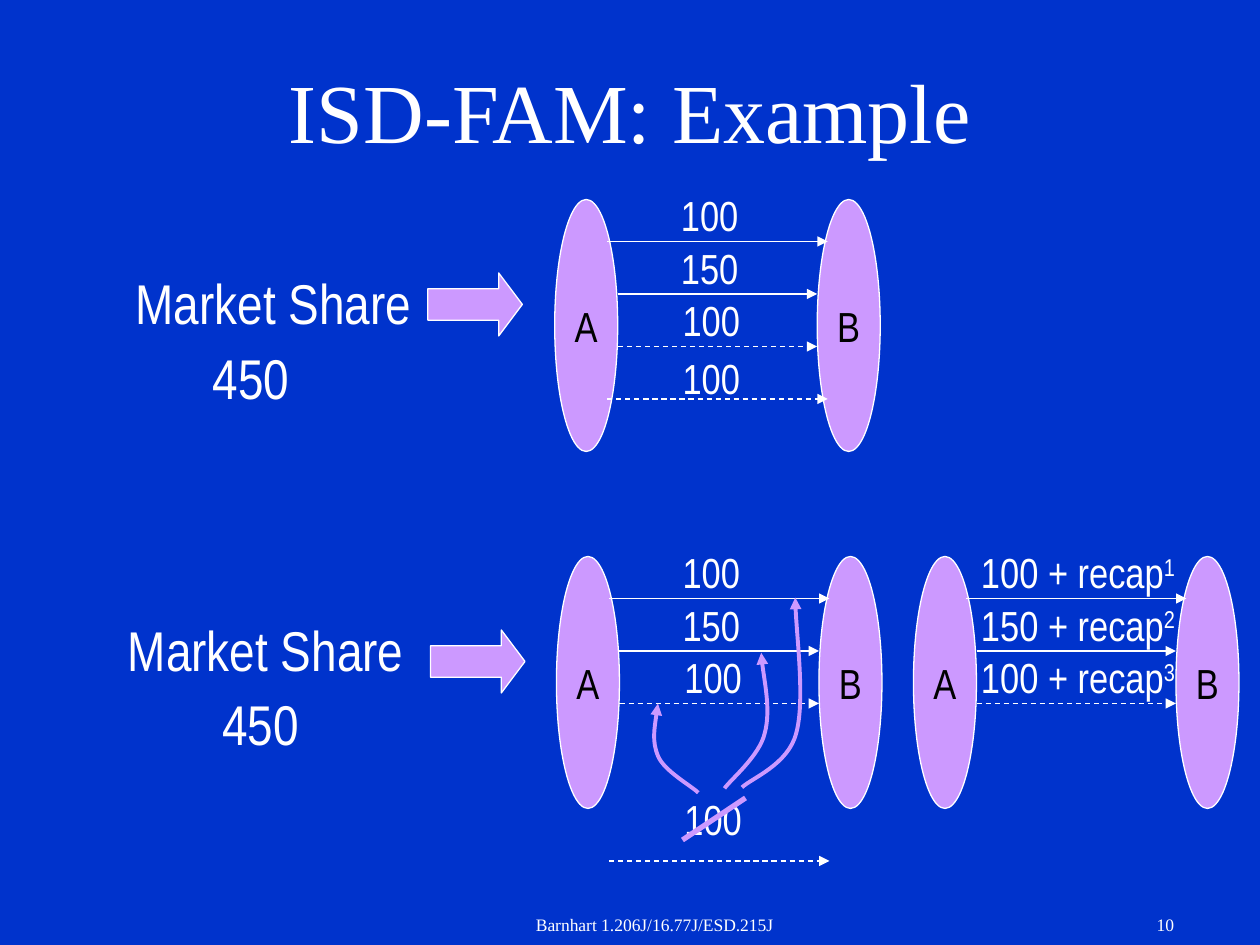
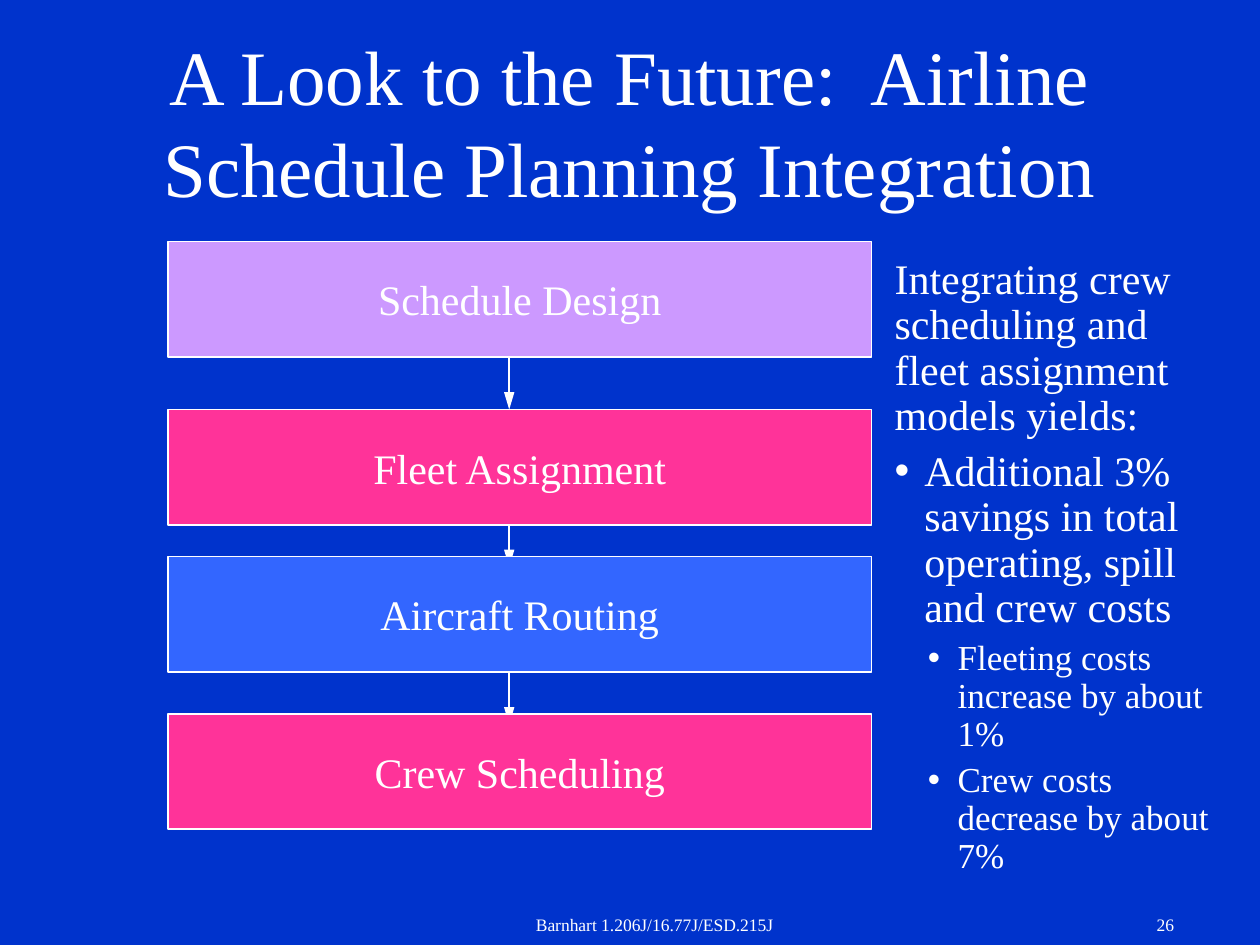
"""Build two airline scheduling slides: an ISD-FAM example and planning integration."""
from dataclasses import dataclass
from typing import Optional

import pptx
import pptx.dml.color
import pptx.enum.dml
import pptx.enum.shapes
import pptx.enum.text
import pptx.oxml.ns
import pptx.util
from lxml import etree

Pt = pptx.util.Pt
qn = pptx.oxml.ns.qn
Shape = pptx.enum.shapes.MSO_SHAPE
Align = pptx.enum.text.PP_ALIGN
Anchor = pptx.enum.text.MSO_ANCHOR
AutoSize = pptx.enum.text.MSO_AUTO_SIZE


@dataclass(frozen=True)
class Theme:
    """Colours, fonts and type sizes of the presentation."""
    background: str = "0033CC"
    white: str = "FFFFFF"
    black: str = "000000"
    lilac: str = "CC99FF"
    pink: str = "FF3399"
    blue: str = "3366FF"
    serif: str = "Times New Roman"
    narrow: str = "Arial Narrow"
    title: int = 48
    long_title: int = 44
    market: int = 32
    label: int = 24
    detail: int = 20
    footer: int = 10


THEME = Theme()


@dataclass(frozen=True)
class Flight:
    """One flight leg, placed relative to the top of its network."""
    passengers: str
    drop: float
    outer: bool = False
    optional: bool = False
    recapture: str = ""
    label_x: float = 66
    label_rise: float = 33


@dataclass(frozen=True)
class Network:
    """Two airports and the flights between them."""
    left: float
    top: float
    flights: tuple[Flight, ...]


@dataclass(frozen=True)
class Stage:
    """One step of the planning process."""
    name: str
    top: float
    colour: str


@dataclass(frozen=True)
class Finding:
    """One paragraph of the findings list."""
    wording: str
    size: int = THEME.label
    before: float = 6
    level: int = 0
    margin: float = 17
    bullet: Optional[str] = "•"


def rgb(colour: str):
    """Turn a hex string into a colour."""
    return pptx.dml.color.RGBColor.from_string(colour)


def write(frame, text: str, *, size: float, font: str = THEME.serif, colour: str = THEME.white,
          align=Align.LEFT, superscript: str = ""):
    """Add one formatted paragraph to a text frame and return it."""
    paragraph = frame.paragraphs[-1]
    if paragraph.runs:
        paragraph = frame.add_paragraph()
    paragraph.alignment = align
    for part in filter(None, (text, superscript)):
        run = paragraph.add_run()
        run.text = part
        run.font.size = Pt(size)
        run.font.name = font
        run.font.color.rgb = rgb(colour)
    if superscript:
        run.font._element.set("baseline", "30000")
    return paragraph


def add_label(slide, left: float, top: float, width: float, height: float, text: str,
              wrap: bool = False, **style) -> None:
    """Place a text box."""
    frame = slide.shapes.add_textbox(Pt(left), Pt(top), Pt(width), Pt(height)).text_frame
    frame.word_wrap = wrap
    frame.auto_size = AutoSize.NONE if wrap else AutoSize.SHAPE_TO_FIT_TEXT
    write(frame, text, **style)


def add_block(slide, kind, left: float, top: float, width: float, height: float,
              fill: str, outline: float = 0.75, text: str = "", **style):
    """Place a filled, outlined shape with optional centred text."""
    block = slide.shapes.add_shape(kind, Pt(left), Pt(top), Pt(width), Pt(height))
    block.shadow.inherit = False
    block.fill.solid()
    block.fill.fore_color.rgb = rgb(fill)
    block.line.color.rgb = rgb(THEME.white)
    block.line.width = Pt(outline)
    if text:
        block.text_frame.word_wrap = False
        block.text_frame.vertical_anchor = Anchor.MIDDLE
        write(block.text_frame, text, size=THEME.label, align=Align.CENTER, **style)
    return block


def style_line(stroke, colour: str, width: float, dashed: bool = False, head: str = "med") -> None:
    """Format a line; an empty head length leaves it without an arrowhead."""
    stroke.line.color.rgb = rgb(colour)
    stroke.line.width = Pt(width)
    if dashed:
        stroke.line.dash_style = pptx.enum.dml.MSO_LINE.DASH
    if head:
        outline = next(stroke._element.iter(qn("a:ln")))
        etree.SubElement(outline, qn("a:tailEnd"), type="triangle", w="med", len=head)


def add_line(slide, start: tuple[float, float], end: tuple[float, float],
             colour: str = THEME.white, width: float = 0.75, **style) -> None:
    """Draw a straight line or arrow."""
    line = slide.shapes.add_connector(pptx.enum.shapes.MSO_CONNECTOR.STRAIGHT,
                                      *map(Pt, start + end))
    style_line(line, colour, width, **style)
    etree.SubElement(line._element.spPr, qn("a:effectLst"))


def add_curve(slide, *points: tuple[float, float]) -> None:
    """Draw an arrow along joined cubic curves."""
    start, *controls = [(Pt(x), Pt(y)) for x, y in points]
    builder = slide.shapes.build_freeform(*start)
    builder.add_line_segments(controls, close=False)
    curve = builder.convert_to_shape()
    curve.shadow.inherit = False
    curve.fill.background()
    style_line(curve, THEME.lilac, 2.25)
    segments = list(curve._element.iter(qn("a:lnTo")))
    for first in range(0, len(segments), 3):
        bezier = etree.Element(qn("a:cubicBezTo"))
        segments[first].addprevious(bezier)
        for segment in segments[first:first + 3]:
            bezier.append(segment[0])
            segment.getparent().remove(segment)


def add_network(slide, network: Network) -> None:
    """Draw the airports, flights and passenger labels of a network."""
    for airport, offset in (("A", 0), ("B", 150)):
        add_block(slide, Shape.OVAL, network.left + offset, network.top, 36, 144, THEME.lilac,
                  text=airport, font=THEME.narrow, colour=THEME.black)
    for flight in network.flights:
        y = network.top + flight.drop
        start, end = (30, 156) if flight.outer else (36, 150)
        add_line(slide, (network.left + start, y), (network.left + end, y),
                 dashed=flight.optional)
        add_label(slide, network.left + flight.label_x, y - flight.label_rise,
                  125 if flight.recapture else 47, 36, flight.passengers,
                  size=THEME.label, font=THEME.narrow, superscript=flight.recapture)


def add_market(slide, left: float, top: float, demand_left: float,
               arrow_left: float, arrow_top: float) -> None:
    """Draw the market share and its arrow towards a network."""
    style = {"size": THEME.market, "font": THEME.narrow}
    add_label(slide, left, top, 172, 46, "Market Share", **style)
    add_label(slide, demand_left, top + 42.5, 58, 46, "450", **style)
    arrow = add_block(slide, Shape.RIGHT_ARROW, arrow_left, arrow_top, 54, 36, THEME.lilac)
    arrow.adjustments[1] = 0.375


def start_slide(deck, layout: int, title: str, size: int, top: float, number: str):
    """Add a slide with its title, footer and number."""
    slide = deck.slides.add_slide(deck.slide_layouts[layout])
    heading = slide.shapes.title
    heading.left, heading.top, heading.width, heading.height = map(Pt, (54, top, 612, 90))
    heading.text_frame.auto_size = AutoSize.NONE
    heading.text_frame.vertical_anchor = Anchor.MIDDLE
    write(heading.text_frame, title, size=size, align=Align.CENTER)
    add_label(slide, 260, 519, 228, 21, "Barnhart 1.206J/16.77J/ESD.215J", wrap=True,
              size=THEME.footer, align=Align.CENTER)
    add_label(slide, 528, 519, 150, 21, number, wrap=True,
              size=THEME.footer, align=Align.RIGHT)
    return slide


def build_example(deck) -> None:
    """Build the slide that shows passengers being recaptured."""
    slide = start_slide(deck, 5, "ISD-FAM: Example", THEME.title, 18, "10")
    kept = (Flight("100", 24, outer=True, label_x=65),
            Flight("150", 54, label_x=65),
            Flight("100", 84, optional=True))
    full = kept + (Flight("100", 114, outer=True, optional=True, label_rise=30),)
    cancelled = kept + (Flight("100", 174, outer=True, optional=True, label_rise=42),)
    recaptured = tuple(
        Flight(f"{flight.passengers} + recap", flight.drop, flight.outer, flight.optional,
               recapture=str(order), label_x=31.5)
        for order, flight in enumerate(kept, 1))
    add_market(slide, 70.5, 150, 114.5, 244.5, 156)
    add_market(slide, 66, 348, 120, 246, 360)
    for network in (Network(317, 114, full), Network(318, 318, cancelled),
                    Network(522, 318, recaptured)):
        add_network(slide, network)
    add_curve(slide, (399, 453), (395, 449), (379.5, 440.5), (376, 432),
              (372.5, 423.5), (374.5, 412.5), (376, 402))
    add_curve(slide, (414, 450.5), (417.5, 445.5), (434, 432), (437, 419),
              (440.5, 406), (435.5, 383), (435, 373))
    add_curve(slide, (424, 450), (429, 445), (450.5, 437), (455, 419),
              (460, 401), (454.5, 358), (454.5, 341.5))
    add_line(slide, (426, 456), (390, 480), THEME.lilac, 3, head="")


def build_future(deck) -> None:
    """Build the slide on integrating the planning stages."""
    slide = start_slide(deck, 1, "A Look to the Future:  Airline Schedule Planning Integration",
                        THEME.long_title, 24, "26")
    for top in (204, 294, 384):
        add_line(slide, (291, top), (291, top + 30), width=1, head="lg")
    for stage in (Stage("Schedule Design", 138, THEME.lilac),
                  Stage("Fleet Assignment", 234, THEME.pink),
                  Stage("Aircraft Routing", 318, THEME.blue),
                  Stage("Crew Scheduling", 408, THEME.pink)):
        add_block(slide, Shape.RECTANGLE, 96, stage.top, 402, 66, stage.colour, 1, stage.name)

    findings = slide.placeholders[1]
    findings.left, findings.top, findings.width, findings.height = map(Pt, (504, 144, 198, 396))
    findings.text_frame.auto_size = AutoSize.NONE
    findings.text_frame.vertical_anchor = Anchor.TOP
    for finding in (
            Finding("Integrating crew scheduling and fleet assignment models yields:",
                    before=0, margin=0, bullet=None),
            Finding("Additional 3% savings in total operating, spill and crew costs"),
            Finding("Fleeting costs increase by about 1%", THEME.detail, 5, 1, 36),
            Finding("Crew costs decrease by about 7%", THEME.detail, 5, 1, 36)):
        paragraph = write(findings.text_frame, finding.wording, size=finding.size)
        paragraph.level = finding.level
        properties = paragraph._p.get_or_add_pPr()
        properties.set("marL", str(Pt(finding.margin)))
        properties.set("indent", str(Pt(-17 if finding.bullet else 0)))
        if finding.bullet:
            bullet_colour = etree.SubElement(properties, qn("a:buClr"))
            etree.SubElement(bullet_colour, qn("a:srgbClr"), val=THEME.white)
            etree.SubElement(properties, qn("a:buChar"), char=finding.bullet)
        else:
            etree.SubElement(properties, qn("a:buNone"))
        paragraph.line_spacing = 0.9
        paragraph.space_before = Pt(finding.before)


def main() -> None:
    """Build and save the presentation."""
    deck = pptx.Presentation()
    deck.slide_width, deck.slide_height = Pt(720), Pt(540)
    backdrop = deck.slide_master.background.fill
    backdrop.solid()
    backdrop.fore_color.rgb = rgb(THEME.background)
    build_example(deck)
    build_future(deck)
    deck.save("out.pptx")


if __name__ == "__main__":
    main()
